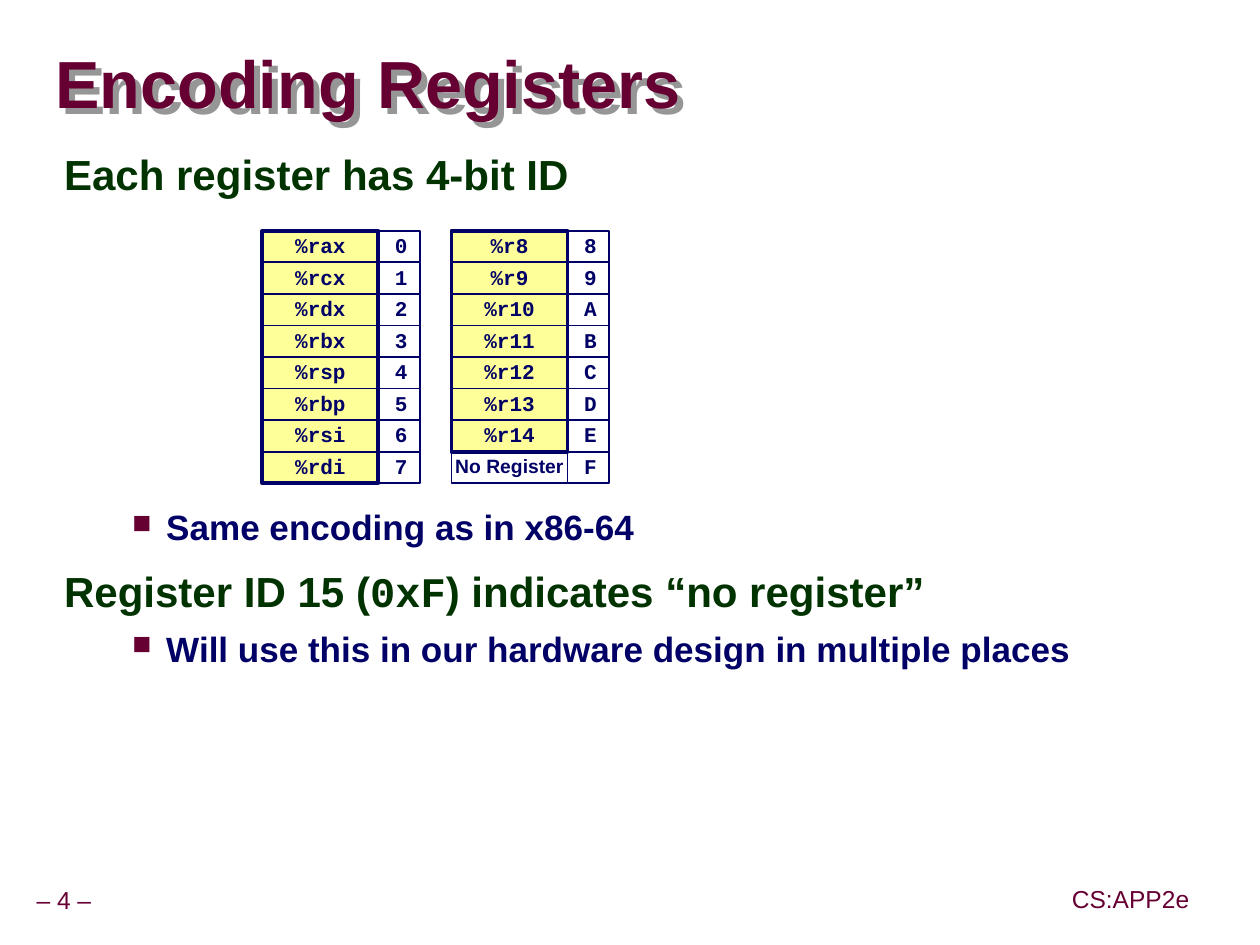
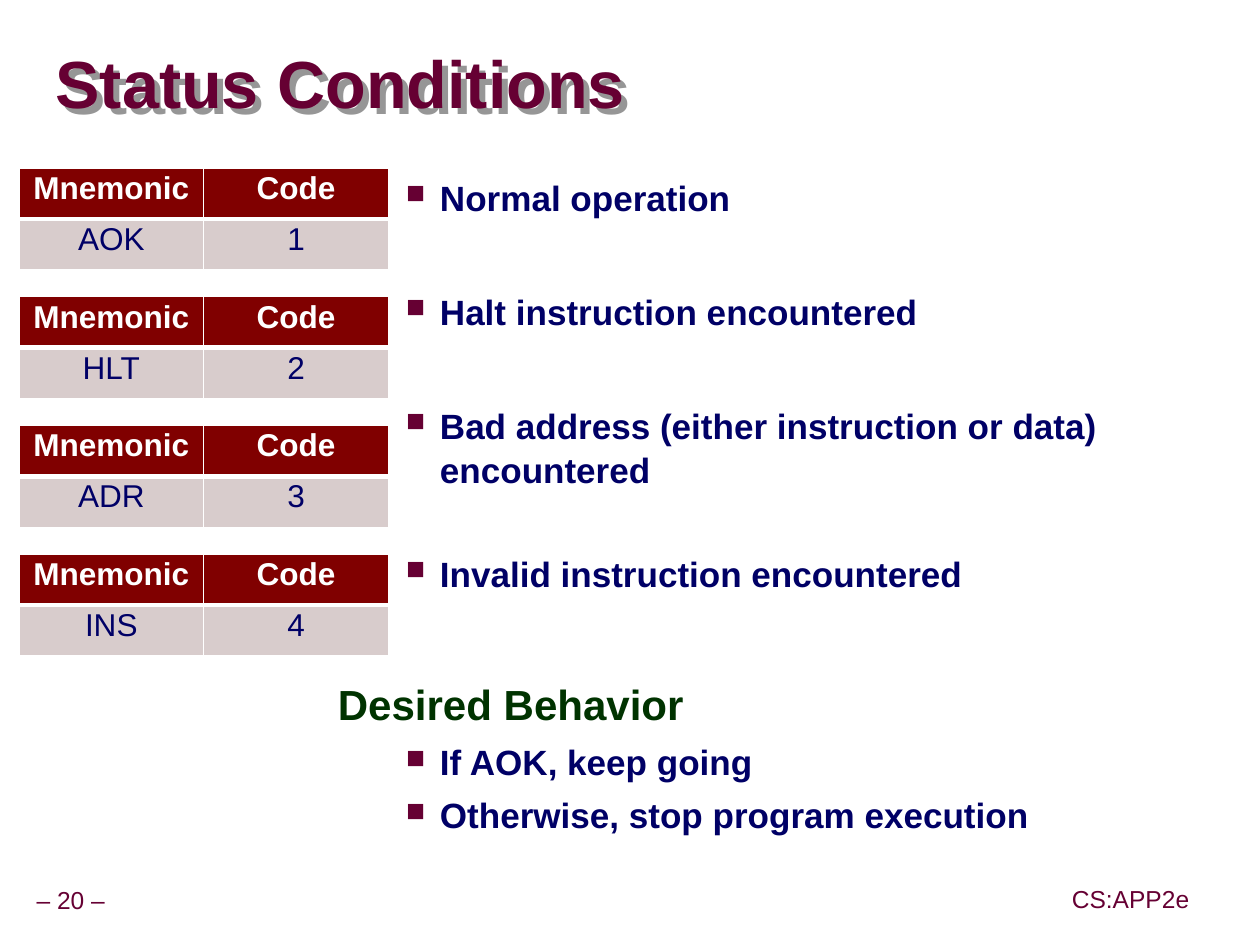
from lxml import etree
from pptx import Presentation, util as u
from pptx.dml.color import RGBColor
from pptx.enum import shapes, text
from pptx.oxml import ns, parse_xml

MAROON = RGBColor(0x66, 0x00, 0x33)
GREEN = RGBColor(0x00, 0x33, 0x00)
NAVY = RGBColor(0x00, 0x00, 0x66)
YELLOW = RGBColor(0xFF, 0xFF, 0x99)
HEADER_RED = RGBColor(0x80, 0x00, 0x00)
ROW_GREY = RGBColor(0xD8, 0xCC, 0xCC)
WHITE = RGBColor(0xFF, 0xFF, 0xFF)
NSDECL = ns.nsdecls("a")
SHADOW = (f'<a:effectLst {NSDECL}><a:outerShdw dist="62000" dir="2700000" algn="ctr">'
          '<a:srgbClr val="969696"/></a:outerShdw></a:effectLst>')
BULLET = (f'<a:buClr {NSDECL}><a:srgbClr val="{MAROON}"/></a:buClr>',
          f'<a:buSzPct {NSDECL} val="75000"/>',
          f'<a:buChar {NSDECL} char="■"/>')
ALIGN = text.PP_ALIGN
MIDDLE = text.MSO_ANCHOR.MIDDLE


def write(p, words, size, color, bold=False, align=ALIGN.LEFT, spacing=0.9, font="Arial"):
    p.text = words
    p.alignment = align
    p.line_spacing = spacing
    for r in p.runs:
        r.font.name, r.font.size, r.font.bold = font, u.Pt(size), bold
        r.font.color.rgb = color


def add_box(s, left, top, width, height, inset=(0.05, 0.05), anchor=MIDDLE):
    """Add a wrapping text box; inset is (sides, top and bottom), all in inches."""
    sp = s.shapes.add_textbox(*map(u.Inches, (left, top, width, height)))
    tf = sp.text_frame
    tf.word_wrap, tf.vertical_anchor = True, anchor
    tf.margin_left = tf.margin_right = u.Inches(inset[0])
    tf.margin_top = tf.margin_bottom = u.Inches(inset[1])
    return sp


prs = Presentation()
prs.slide_width, prs.slide_height = u.Inches(9.99), u.Inches(7.49)

# Title, page number, body box, body lines as (level, space before, words)
PAGES = [
    ("Encoding Registers", 4, (0.41, 1.16, 9.07, 5.78), [
        (0, 0, "Each register has 4-bit ID"),
        (1, 173, "Same encoding as in x86-64"),
        (0, 12, "Register ID 15 (0xF) indicates “no register”"),
        (1, 5, "Will use this in our hardware design in multiple places")]),
    ("Status Conditions", 20, (2.58, 1.33, 6.81, 5.7), [
        (1, 0, "Normal operation"),
        (1, 40, "Halt instruction encountered"),
        (1, 40, "Bad address (either instruction or data) encountered"),
        (1, 34, "Invalid instruction encountered"),
        (0, 50, "Desired Behavior"),
        (1, 5, "If AOK, keep going"),
        (1, 5, "Otherwise, stop program execution")]),
]

for title, number, body, lines in PAGES:
    s = prs.slides.add_slide(prs.slide_layouts[6])
    sp = add_box(s, 0.24, 6.99, 1, 0.31)
    write(sp.text_frame.paragraphs[0], f"– {number} –", 14, MAROON)
    sp = add_box(s, 8.44, 6.98, 1.04, 0.31)
    write(sp.text_frame.paragraphs[0], "CS:APP2e", 14, MAROON, align=ALIGN.RIGHT)
    sp = add_box(s, 0.44, 0.27, 9.52, 0.85, inset=(0, 0))
    sp._element.spPr.append(parse_xml(SHADOW))
    write(sp.text_frame.paragraphs[0], title, 38, MAROON, True, spacing=0.87)

    tf = add_box(s, *body, inset=(0.1, 0.05), anchor=text.MSO_ANCHOR.TOP).text_frame
    for i, (level, before, words) in enumerate(lines):
        p = tf.paragraphs[0] if i == 0 else tf.add_paragraph()
        pPr = p._p.get_or_add_pPr()
        margin, indent = ((0.42, -0.42), (0.81, -0.27))[level]
        pPr.set("marL", str(u.Inches(margin)))
        pPr.set("indent", str(u.Inches(indent)))
        if level:
            for part in BULLET:
                pPr.append(parse_xml(part))
            write(p, words, 20, NAVY, True, spacing=1.05)
        else:
            write(p, words, 24, GREEN, True, spacing=0.95)
        p.space_before = u.Pt(before)

registers, status = prs.slides

# The code "0xF" is set in a fixed-width font
p = registers.shapes[-1].text_frame.paragraphs[2]
start, code, end = p.text.partition("0xF")
p.runs[0].text = start
for words, font in ((code, "Courier New"), (end, "Arial")):
    r = p.add_run()
    r.text = words
    r.font.name, r.font.size, r.font.bold = font, u.Pt(24), True
    r.font.color.rgb = GREEN

# Register banks: a yellow block behind the names, then one row per register
TOP, ROW, NAME_W, ID_W = 1.83, 0.25, 0.92, 0.33
BANKS = [
    (2.08, 8, "%rax %rcx %rdx %rbx %rsp %rbp %rsi %rdi".split(), "01234567"),
    (3.58, 7, "%r8 %r9 %r10 %r11 %r12 %r13 %r14".split() + ["No Register"], "89ABCDEF"),
]
for left, named, names, ids in BANKS:
    cells = [(left, TOP, NAME_W, named * ROW, "", ALIGN.CENTER)]
    for i, (name, reg_id) in enumerate(zip(names, ids)):
        y = TOP + i * ROW
        cells.append((left, y, NAME_W, ROW, name, ALIGN.CENTER))
        cells.append((left + NAME_W, y, ID_W, ROW, reg_id, ALIGN.RIGHT))
    for x, y, w, h, words, align in cells:
        sp = registers.shapes.add_shape(shapes.MSO_SHAPE.RECTANGLE, *map(u.Inches, (x, y, w, h)))
        sp.shadow.inherit = False
        sp.line.color.rgb = NAVY
        if not words:
            sp.fill.solid()
            sp.fill.fore_color.rgb = YELLOW
            sp.line.width = u.Pt(2.25)
            continue
        sp.fill.background()
        sp.line.width = u.Pt(1)
        tf = sp.text_frame
        tf.word_wrap, tf.vertical_anchor = False, MIDDLE
        size, font = (11, "Arial") if words == "No Register" else (12, "Courier New")
        write(tf.paragraphs[0], words, size, NAVY, True, align, font=font)

# One small table per status code, at equal steps down the slide
for i, mnemonic in enumerate(("AOK", "HLT", "ADR", "INS")):
    frame = status.shapes.add_table(2, 2, *map(u.Inches, (0.15, 1.33 + 1.02 * i, 2.93, 0.81)))
    rows = (("Mnemonic", "Code"), (mnemonic, str(i + 1)))
    for row, values in enumerate(rows):
        fill, color = ((HEADER_RED, WHITE), (ROW_GREY, NAVY))[row]
        for col, words in enumerate(values):
            cell = frame.table.cell(row, col)
            tcPr = cell._tc.get_or_add_tcPr()
            for side in "LRTB":
                inner = side == "BT"[row]
                ln = etree.SubElement(tcPr, ns.qn(f"a:ln{side}"), w=str(u.Pt(3 if inner else 1)))
                solid = etree.SubElement(ln, ns.qn("a:solidFill"))
                etree.SubElement(solid, ns.qn("a:srgbClr"), val=str(WHITE))
            cell.fill.solid()
            cell.fill.fore_color.rgb = fill
            write(cell.text_frame.paragraphs[0], words, 18, color, row == 0, ALIGN.CENTER)

prs.save("out.pptx")
